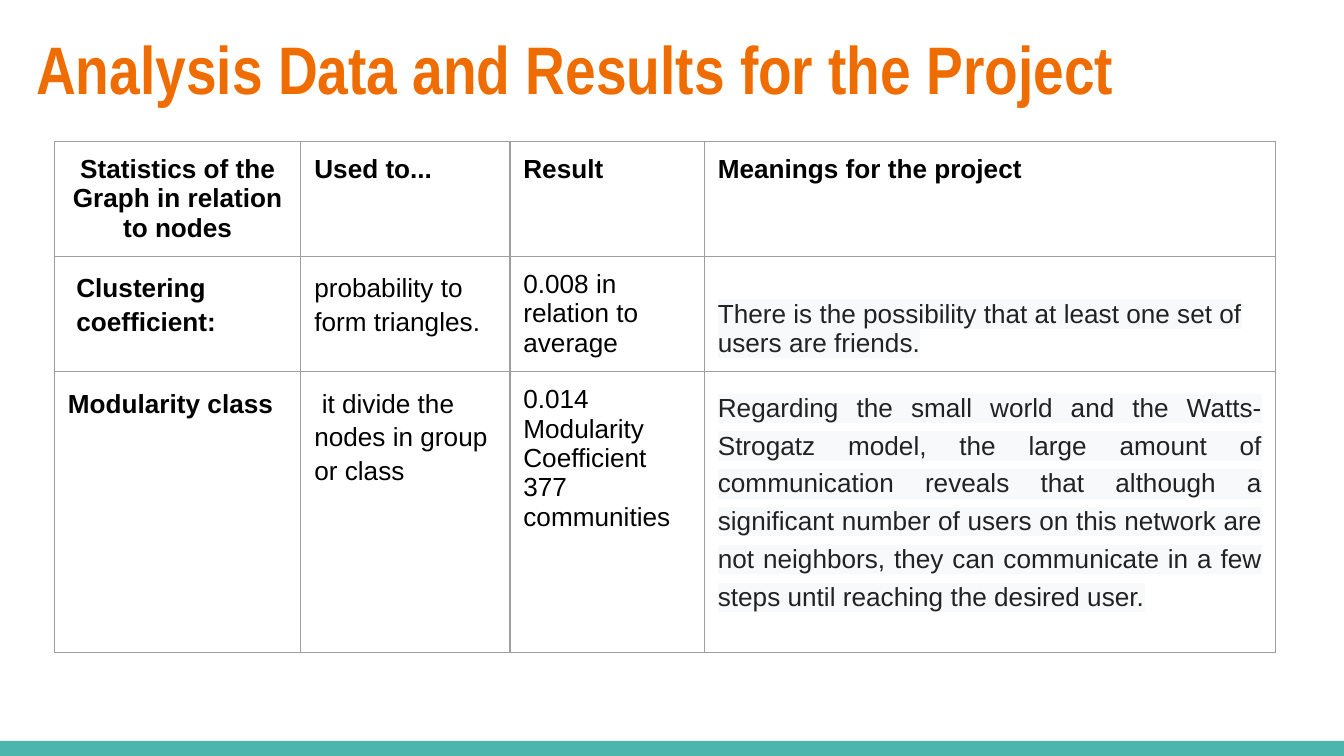
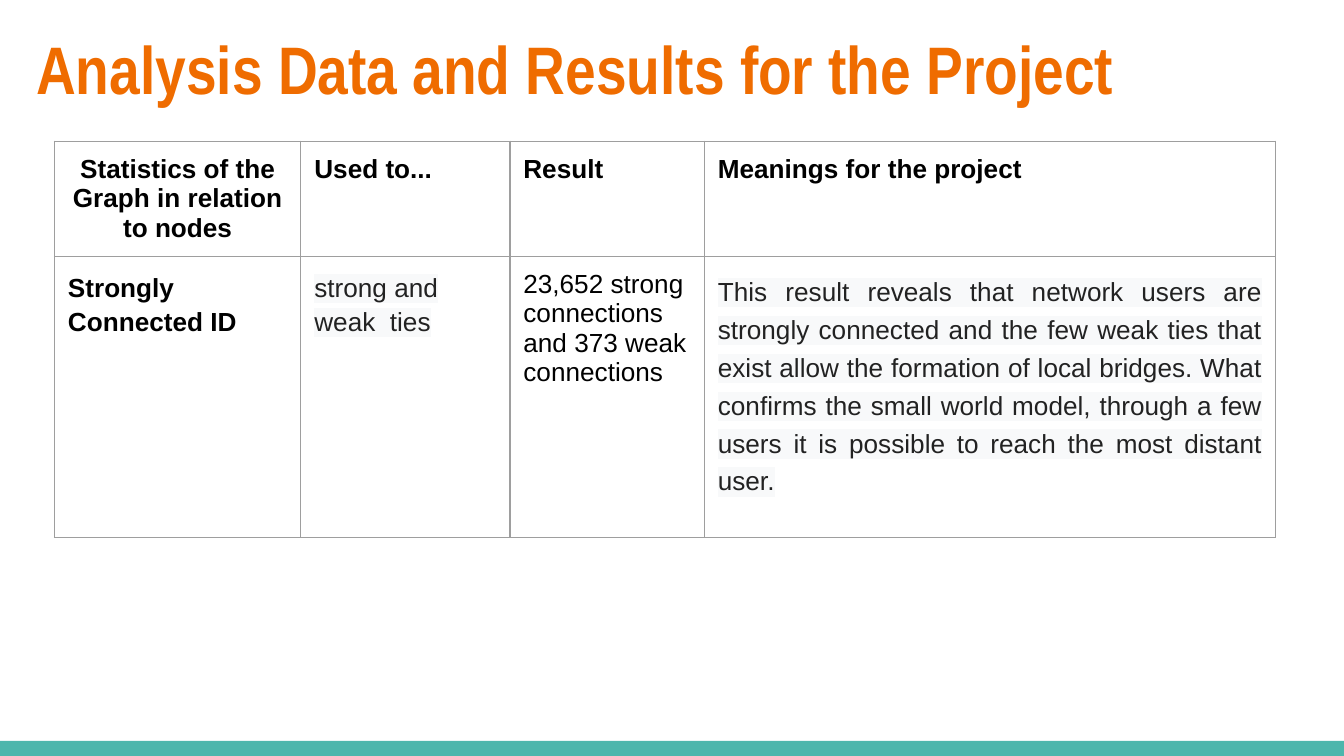
import dataclasses
import pptx
import pptx.dml.color
import pptx.enum.shapes
import pptx.enum.text
import pptx.oxml
import pptx.oxml.ns
import pptx.util

Pt = pptx.util.Pt
Align = pptx.enum.text.PP_ALIGN
Anchor = pptx.enum.text.MSO_ANCHOR


@dataclasses.dataclass(frozen=True)
class Theme:
    accent: str = "EF6C00"
    band: str = "4DB6AC"
    ink: str = "000000"
    quote_ink: str = "222222"
    quote_highlight: str = "F8F9FA"
    border: str = "9E9E9E"
    border_width: float = 0.75
    title_font: str = "Arial Narrow"
    body_font: str = "Arial"
    title_size: int = 36
    body_size: int = 14
    inset: float = 7.2


@dataclasses.dataclass(frozen=True)
class Box:
    left: float
    top: float
    width: float
    height: float

    def lengths(self):
        return [Pt(value) for value in dataclasses.astuple(self)]


@dataclasses.dataclass(frozen=True)
class Entry:
    text: str
    bold: bool = False
    quoted: bool = False
    paragraph: dict = dataclasses.field(default_factory=dict)
    indent: dict = dataclasses.field(default_factory=dict)
    drop: float = 0


THEME = Theme()
PAGE = Box(0, 0, 720, 405)
TITLE_BOX = Box(12.2, 7.2, 671, 55.4)
TABLE_BOX = Box(29.2, 75.6, 654.2, 0)
BAND_HEIGHT = 8
COLUMN_WIDTHS = [132, 112, 104.2, 306]
SHORT_ROW, TALL_ROW = 61.6, 150.6
INSETS = {f"margin_{side}": Pt(THEME.inset) for side in ("left", "right", "top", "bottom")}

SPACED = {"line_spacing": 1.15, "space_after": Pt(16)}
LOOSE = {"line_spacing": 1.15}
JUSTIFIED = {"alignment": Align.JUSTIFY, "line_spacing": 1.29}

TITLE = "Analysis Data and Results for the Project"
HEADINGS = [
    Entry("Statistics of the Graph in relation to nodes", bold=True,
          paragraph={"alignment": Align.CENTER}),
    Entry("Used to...", bold=True),
    Entry("Result", bold=True),
    Entry("Meanings for the project", bold=True),
]
CLUSTERING = [
    Entry("Clustering coefficient:", bold=True, paragraph=SPACED, indent={"marL": 4.5}),
    Entry("probability to form triangles.", paragraph=SPACED),
    Entry("0.008 in relation to average"),
    Entry("There is the possibility that at least one set of users are friends.",
          quoted=True, drop=16),
]
MODULARITY = [
    Entry("Modularity class", bold=True, paragraph=SPACED),
    Entry("it divide the nodes in group or class", paragraph=LOOSE, indent={"indent": 4}),
    Entry("0.014 Modularity Coefficient\n377 communities"),
    Entry("Regarding the small world and the Watts-Strogatz model, the large amount of "
          "communication reveals that although a significant number of users on this "
          "network are not neighbors, they can communicate in a few steps until reaching "
          "the desired user.", quoted=True, paragraph=JUSTIFIED),
]
CONNECTED = [
    Entry("Strongly Connected ID", bold=True, paragraph=SPACED),
    Entry("strong and weak  ties", quoted=True, paragraph=SPACED),
    Entry("23,652 strong connections and 373 weak connections"),
    Entry("This result reveals that network users are strongly connected and the few weak "
          "ties that exist allow the formation of local bridges. What confirms the small "
          "world model, through a few users it is possible to reach the most distant user.",
          quoted=True, paragraph=JUSTIFIED),
]
SLIDES = [
    [(SHORT_ROW, HEADINGS), (SHORT_ROW, CLUSTERING), (TALL_ROW, MODULARITY)],
    [(SHORT_ROW, HEADINGS), (TALL_ROW, CONNECTED)],
]


def apply(target, values):
    for name, value in values.items():
        setattr(target, name, value)


def rgb(color):
    return pptx.dml.color.RGBColor.from_string(color)


def style_run(run, font, size, color, bold):
    apply(run.font, {"name": font, "size": Pt(size), "bold": bold})
    run.font.color.rgb = rgb(color)


def highlight(run, color):
    mark = pptx.oxml.parse_xml(
        f'<a:highlight {pptx.oxml.ns.nsdecls("a")}><a:srgbClr val="{color}"/></a:highlight>')
    run.font.fill
    run.font._element.find(pptx.oxml.ns.qn("a:solidFill")).addnext(mark)


def draw_borders(cell):
    properties = cell._tc.get_or_add_tcPr()
    for position, side in enumerate("LRTB"):
        properties.insert(position, pptx.oxml.parse_xml(
            f'<a:ln{side} {pptx.oxml.ns.nsdecls("a")} w="{Pt(THEME.border_width)}">'
            f'<a:solidFill><a:srgbClr val="{THEME.border}"/></a:solidFill></a:ln{side}>'))


def fill_cell(cell, entry):
    apply(cell, INSETS | {"margin_top": Pt(THEME.inset + entry.drop),
                          "vertical_anchor": Anchor.TOP})
    cell.fill.background()
    draw_borders(cell)
    cell.text_frame.text = entry.text
    for paragraph in cell.text_frame.paragraphs:
        apply(paragraph, {"alignment": Align.LEFT} | entry.paragraph)
        for name, value in entry.indent.items():
            paragraph._p.get_or_add_pPr().set(name, str(Pt(value)))
        for run in paragraph.runs:
            color = THEME.quote_ink if entry.quoted else THEME.ink
            style_run(run, THEME.body_font, THEME.body_size, color, entry.bold)
            if entry.quoted:
                highlight(run, THEME.quote_highlight)


def add_footer_band(slide, page):
    box = Box(page.left, page.top + page.height - BAND_HEIGHT, page.width, BAND_HEIGHT)
    band = slide.shapes.add_shape(pptx.enum.shapes.MSO_SHAPE.RECTANGLE, *box.lengths())
    band.shadow.inherit = False
    band.fill.solid()
    band.fill.fore_color.rgb = rgb(THEME.band)
    band.line.fill.background()


def place_title(slide, box):
    title = slide.shapes.title
    apply(title, dict(zip(("left", "top", "width", "height"), box.lengths())))
    apply(title.text_frame, INSETS | {
        "text": TITLE, "word_wrap": True, "vertical_anchor": Anchor.TOP,
        "auto_size": pptx.enum.text.MSO_AUTO_SIZE.NONE})
    heading = title.text_frame.paragraphs[0]
    heading.alignment = Align.LEFT
    style_run(heading.runs[0], THEME.title_font, THEME.title_size, THEME.accent, True)


def add_statistics(slide, box, rows):
    height = sum(row_height for row_height, _ in rows)
    frame = dataclasses.replace(box, height=height)
    statistics = slide.shapes.add_table(
        len(rows), len(COLUMN_WIDTHS), *frame.lengths()).table
    apply(statistics, {"first_row": False, "horz_banding": False})
    for column, width in zip(statistics.columns, COLUMN_WIDTHS):
        column.width = Pt(width)
    for row, (row_height, entries) in zip(statistics.rows, rows):
        row.height = Pt(row_height)
        for cell, entry in zip(row.cells, entries):
            fill_cell(cell, entry)


def add_results_slide(deck, page, rows):
    slide = deck.slides.add_slide(deck.slide_layouts.get_by_name("Title Only"))
    add_footer_band(slide, page)
    place_title(slide, TITLE_BOX)
    add_statistics(slide, TABLE_BOX, rows)


def main():
    deck = pptx.Presentation()
    apply(deck, {"slide_width": Pt(PAGE.width), "slide_height": Pt(PAGE.height)})
    for rows in SLIDES:
        add_results_slide(deck, PAGE, rows)
    deck.save("out.pptx")


if __name__ == "__main__":
    main()
